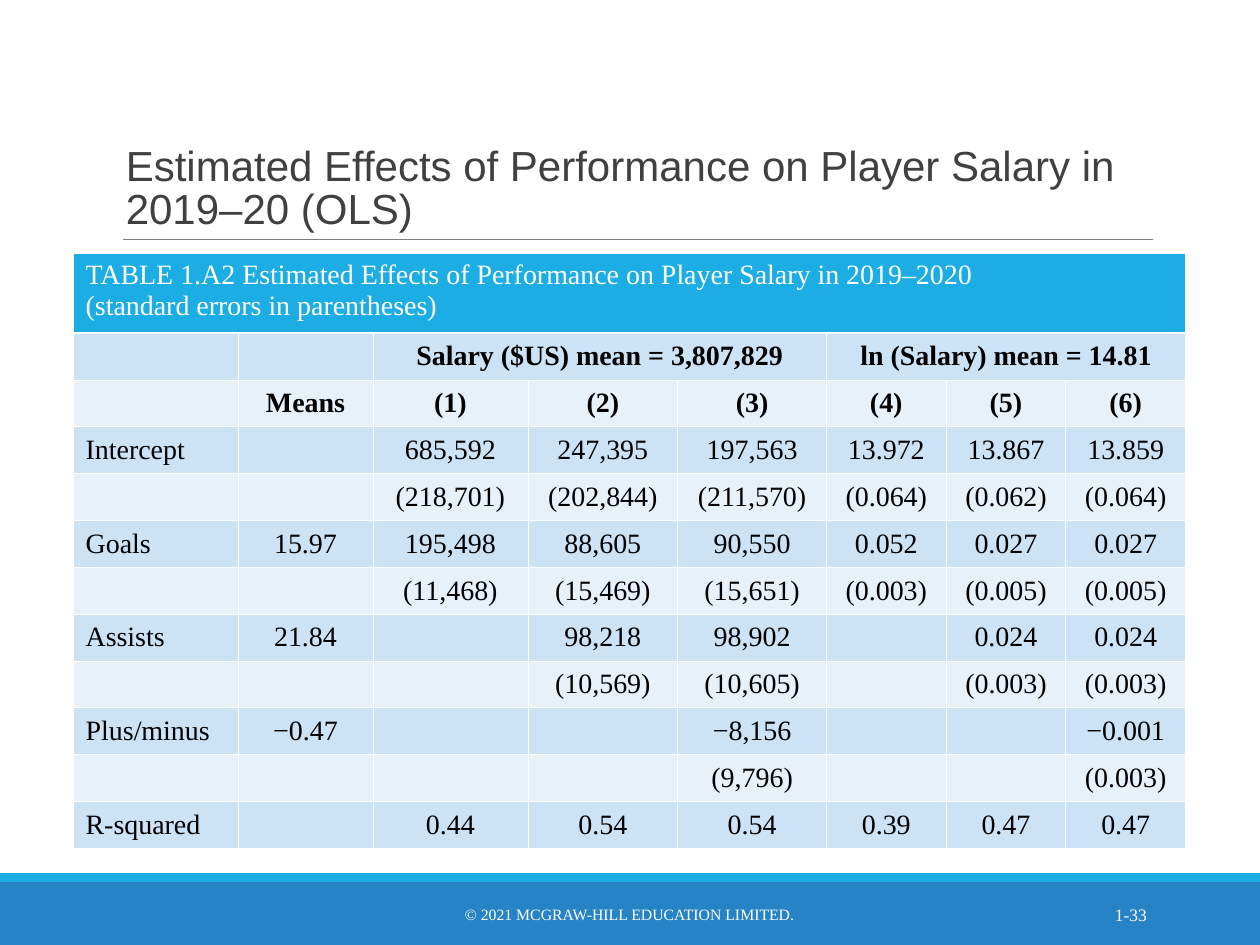
"""Build the slide with the regression table of player salary on performance."""
from lxml import etree
from pptx import Presentation
from pptx import util as u
from pptx.dml.color import RGBColor
from pptx.enum import shapes, text
from pptx.oxml.ns import qn

SERIF = "Times New Roman"
LEFT, CENTER, RIGHT = text.PP_ALIGN.LEFT, text.PP_ALIGN.CENTER, text.PP_ALIGN.RIGHT
MIDDLE, TOP, BOTTOM = text.MSO_ANCHOR.MIDDLE, text.MSO_ANCHOR.TOP, text.MSO_ANCHOR.BOTTOM


def rgb(color):
    return RGBColor.from_string(color)


def write(paragraph, words, size, color, font=SERIF, align=LEFT, bold=False):
    paragraph.alignment = align
    run = paragraph.add_run()
    run.text = words
    run.font.size = u.Pt(size)
    run.font.name = font
    run.font.bold = bold
    run.font.color.rgb = rgb(color)


prs = Presentation()
prs.slide_width, prs.slide_height = u.Inches(10), u.Inches(7.5)
slide = prs.slides.add_slide(prs.slide_layouts[6])

for top, height, color in [(7, 0.5, "2683C6"), (6.93, 0.07, "1CADE4")]:
    band = slide.shapes.add_shape(
        shapes.MSO_SHAPE.RECTANGLE, 0, u.Inches(top), u.Inches(10), u.Inches(height))
    band.shadow.inherit = False
    band.fill.solid()
    band.fill.fore_color.rgb = rgb(color)
    band.line.fill.background()

rule = slide.shapes.add_connector(
    shapes.MSO_CONNECTOR.STRAIGHT, u.Inches(0.98), u.Inches(1.9), u.Inches(9.15), u.Inches(1.9))
rule.line.color.rgb = rgb("7F7F7F")
rule.line.width = u.Pt(0.5)
etree.SubElement(rule.element.spPr, qn("a:effectLst"))

labels = [
    ("Estimated Effects of Performance on Player Salary in 2019–20 (OLS)",
     (0.9, 0.31, 8.25, 1.59), 24, "404040", "Arial", LEFT, BOTTOM, 0.85),
    ("© 2021 MCGRAW-HILL EDUCATION LIMITED.",
     (3.02, 7.06, 3.95, 0.4), 9, "FFFFFF", SERIF, CENTER, MIDDLE, 1.0),
    ("1-33", (8.12, 7.06, 1.08, 0.4), 10, "FFFFFF", SERIF, RIGHT, MIDDLE, 1.0),
]
for words, place, size, color, font, align, anchor, spacing in labels:
    frame = slide.shapes.add_textbox(*map(u.Inches, place)).text_frame
    frame.word_wrap = True
    frame.vertical_anchor = anchor
    frame.paragraphs[0].line_spacing = spacing
    write(frame.paragraphs[0], words, size, color, font, align)

caption = ["TABLE 1.A2 Estimated Effects of Performance on Player Salary in 2019–2020",
           "(standard errors in parentheses)"]
body = [
    ["", "", "Salary ($US) mean = 3,807,829", "", "", "ln (Salary) mean = 14.81", "", ""],
    ["", "Means", "(1)", "(2)", "(3)", "(4)", "(5)", "(6)"],
    ["Intercept", "", "685,592", "247,395", "197,563", "13.972", "13.867", "13.859"],
    ["", "", "(218,701)", "(202,844)", "(211,570)", "(0.064)", "(0.062)", "(0.064)"],
    ["Goals", "15.97", "195,498", "88,605", "90,550", "0.052", "0.027", "0.027"],
    ["", "", "(11,468)", "(15,469)", "(15,651)", "(0.003)", "(0.005)", "(0.005)"],
    ["Assists", "21.84", "", "98,218", "98,902", "", "0.024", "0.024"],
    ["", "", "", "(10,569)", "(10,605)", "", "(0.003)", "(0.003)"],
    ["Plus/minus", "−0.47", "", "", "−8,156", "", "", "−0.001"],
    ["", "", "", "", "(9,796)", "", "", "(0.003)"],
    ["R-squared", "", "0.44", "0.54", "0.54", "0.39", "0.47", "0.47"],
]
rows = [[""] * 8] + body
widths = [1.31, 1.07, 1.23, 1.19, 1.18, 0.95, 0.95, 0.95]
caption_height, table_height = 0.63, 4.72

table = slide.shapes.add_table(
    len(rows), len(widths), u.Inches(0.58), u.Inches(2.01),
    u.Inches(sum(widths)), u.Inches(table_height)).table
for column, width in zip(table.columns, widths):
    column.width = u.Inches(width)
for row in table.rows:
    row.height = u.Inches((table_height - caption_height) / len(body))
table.rows[0].height = u.Inches(caption_height)

for r, c, last in [(0, 0, 7), (1, 2, 4), (1, 5, 7)]:
    table.cell(r, c).merge(table.cell(r, last))

for r, values in enumerate(rows):
    for c, value in enumerate(values):
        cell = table.cell(r, c)
        cell.vertical_anchor = MIDDLE if r else TOP
        paragraph = cell.text_frame.paragraphs[0]
        if value:
            write(paragraph, value, 16, "000000", align=CENTER if c else LEFT, bold=r in (1, 2))
        elif r or c:
            etree.SubElement(paragraph._p, qn("a:endParaRPr"), sz="1600")
        props = cell._tc.get_or_add_tcPr()
        heavy = {0: "lnB", 1: "lnT"}.get(r)
        for side in ("lnL", "lnR", "lnT", "lnB"):
            width = u.Pt(1.47 if side == heavy else 0.45)
            border = etree.SubElement(props, qn(f"a:{side}"), w=str(width))
            paint = etree.SubElement(border, qn("a:solidFill"))
            etree.SubElement(paint, qn("a:srgbClr"), val="FFFFFF")
        cell.fill.solid()
        cell.fill.fore_color.rgb = rgb("1CADE4" if r == 0 else "CCE3F5" if r % 2 else "E7F1FA")

heading = table.cell(0, 0).text_frame
write(heading.paragraphs[0], caption[0], 16, "FFFFFF")
write(heading.add_paragraph(), caption[1], 16, "FFFFFF")

prs.save("out.pptx")
